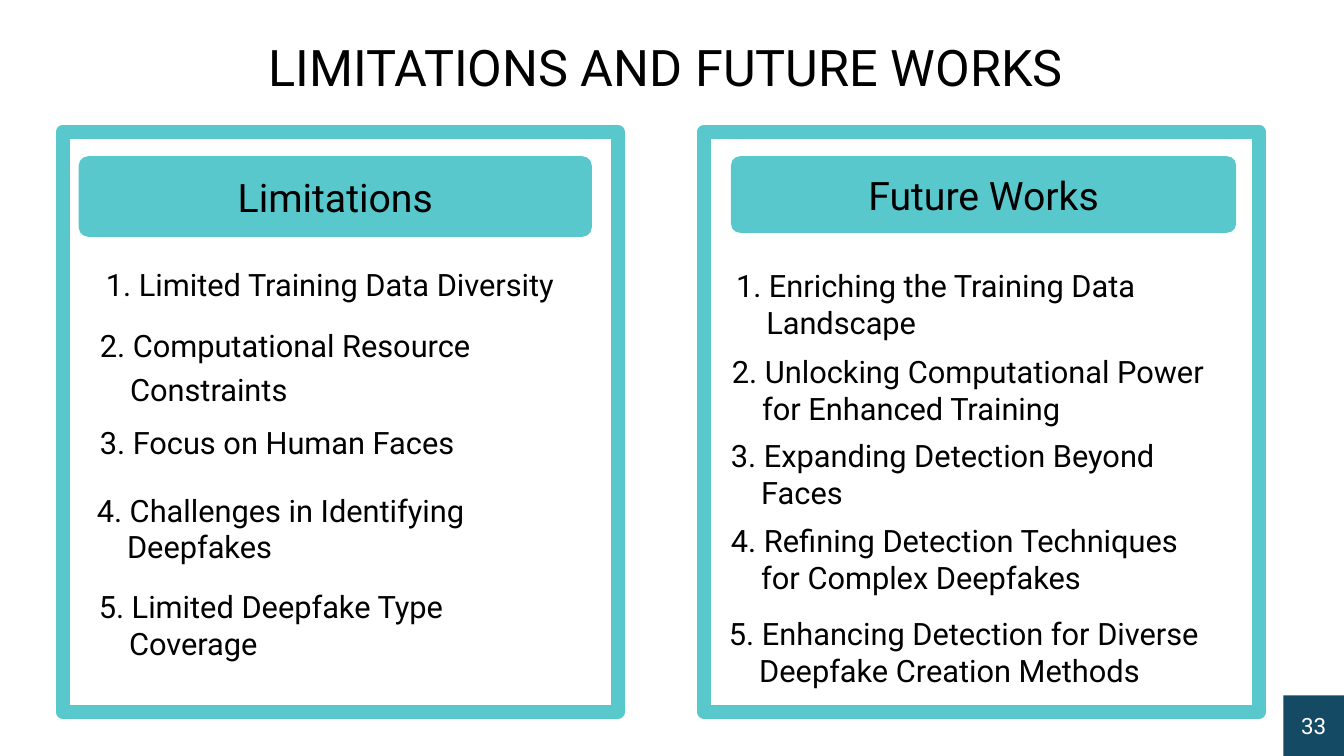
from pptx import Presentation
from pptx.dml.color import RGBColor
from pptx.enum.shapes import MSO_SHAPE
from pptx.enum.text import MSO_ANCHOR, MSO_AUTO_SIZE, PP_ALIGN
from pptx.util import Inches, Pt

RECT, ROUNDED = MSO_SHAPE.RECTANGLE, MSO_SHAPE.ROUNDED_RECTANGLE
MIDDLE, BOTTOM = MSO_ANCHOR.MIDDLE, MSO_ANCHOR.BOTTOM
LEFT, CENTER = PP_ALIGN.LEFT, PP_ALIGN.CENTER
TEAL = RGBColor(0x59, 0xC8, 0xCC)
NAVY = RGBColor(0x15, 0x4A, 0x65)
BLACK = RGBColor(0, 0, 0)
WHITE = RGBColor(0xFF, 0xFF, 0xFF)

# Panel: left edge, heading, heading box (left, width, height),
# items (left, top, width, height, line spacing, text)
PANELS = [
    (0.62, "Limitations", (0.78, 5.09, 0.8), [
        (1.05, 2.58, 4.98, 0.47, 1.0, "1. Limited Training Data Diversity"),
        (0.99, 3.11, 5.09, 0.99, 1.2, "2. Computational Resource\vConstraints"),
        (0.99, 4.15, 3.76, 0.47, 1.0, "3. Focus on Human Faces"),
        (0.96, 4.82, 4.45, 0.84, 1.0, "4. Challenges in Identifying\vDeepfakes"),
        (0.98, 5.78, 5.1, 0.84, 1.0, "5. Limited Deepfake Type\vCoverage"),
    ]),
    (6.98, "Future Works", (7.25, 5.01, 0.76), [
        (7.3, 2.59, 5.12, 0.84, 1.0, "1. Enriching the Training Data\vLandscape"),
        (7.26, 3.45, 5.2, 0.84, 1.0, "2. Unlocking Computational Power\vfor Enhanced Training"),
        (7.25, 4.28, 5.18, 0.84, 1.0, "3. Expanding Detection Beyond\vFaces"),
        (7.25, 5.12, 4.92, 0.84, 1.0, "4. Refining Detection Techniques\vfor Complex Deepfakes"),
        (7.23, 6.05, 5.02, 0.84, 1.0, "5. Enhancing Detection for Diverse\vDeepfake Creation Methods"),
    ]),
]


def write(box, text, size, color=BLACK, align=CENTER, anchor=MIDDLE):
    frame = box.text_frame
    frame.word_wrap = True
    frame.auto_size = MSO_AUTO_SIZE.NONE
    frame.vertical_anchor = anchor
    frame.margin_left = frame.margin_right = 0
    frame.text = text
    paragraph = frame.paragraphs[0]
    paragraph.alignment = align
    paragraph.font.size = Pt(size)
    paragraph.font.name = "Roboto"
    paragraph.font.color.rgb = color
    return paragraph


def add_filled(kind, left, top, width, height, color):
    shape = slide.shapes.add_shape(
        kind, Inches(left), Inches(top), Inches(width), Inches(height))
    shape.shadow.inherit = False
    shape.fill.solid()
    shape.fill.fore_color.rgb = color
    shape.line.fill.background()
    return shape


prs = Presentation()
prs.slide_width, prs.slide_height = Inches(13.33), Inches(7.5)
slide = prs.slides.add_slide(prs.slide_layouts[5])

# Title
title = slide.shapes.title
title.left, title.top = Inches(1.88), Inches(0.37)
title.width, title.height = Inches(9.45), Inches(0.64)
write(title, "LIMITATIONS AND FUTURE WORKS", 36, anchor=BOTTOM)

# Page number
page_number = add_filled(RECT, 12.73, 6.9, 0.6, 0.6, NAVY)
write(page_number, "33", 16, WHITE)

# Framed panels, each with a heading and numbered items
for panel_left, heading, (head_left, head_width, head_height), items in PANELS:
    panel = add_filled(RECT, panel_left, 1.31, 5.51, 5.75, WHITE)
    panel.fill.background()
    panel.line.color.rgb = TEAL
    panel.line.width = Pt(10)

    heading_bar = add_filled(ROUNDED, head_left, 1.55, head_width, head_height, TEAL)
    heading_bar.adjustments[0] = 0.12
    write(heading_bar, heading, 28)

    for left, top, width, height, spacing, text in items:
        item = slide.shapes.add_textbox(
            Inches(left), Inches(top), Inches(width), Inches(height))
        paragraph = write(item, text, 22, align=LEFT)
        paragraph.line_spacing = spacing
        # Hanging indent sets the second line under the item's wording
        properties = paragraph._p.get_or_add_pPr()
        properties.set("marL", str(Inches(0.3)))
        properties.set("indent", str(Inches(-0.3)))

prs.save("out.pptx")
